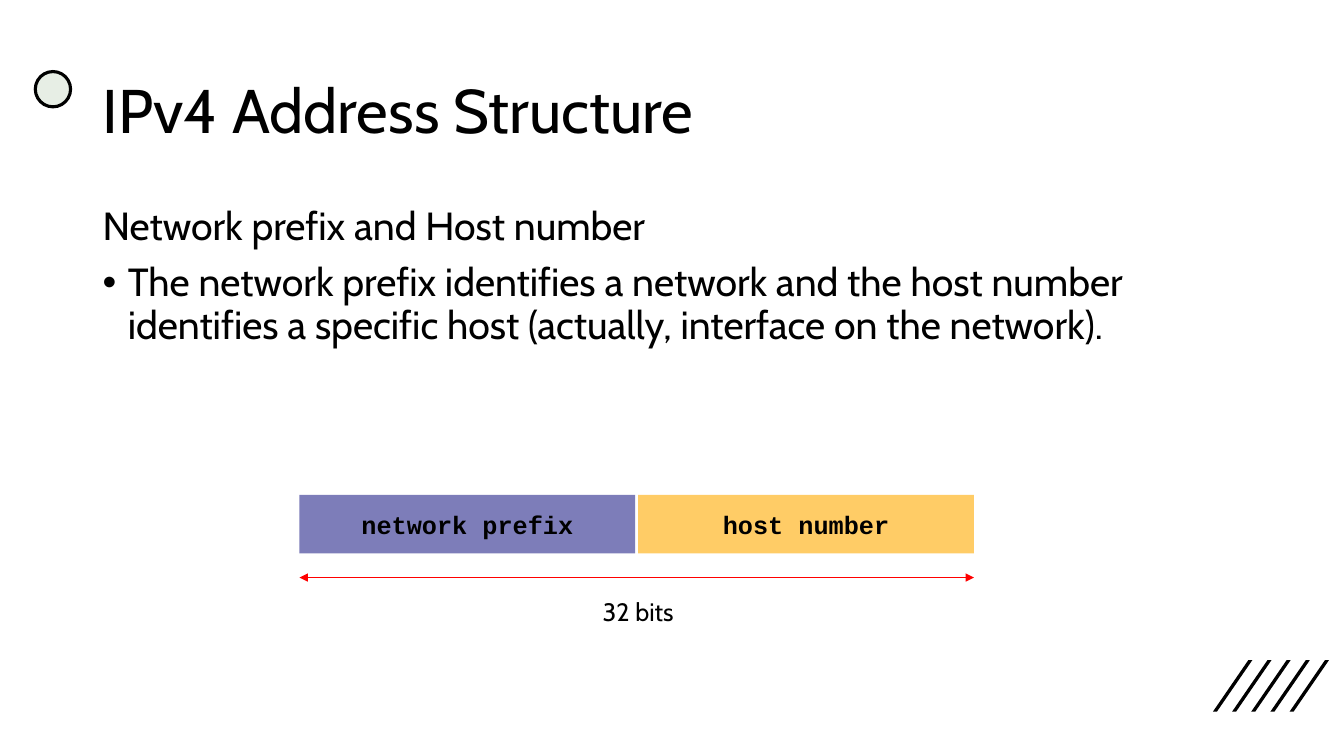
from lxml import etree
from pptx import Presentation
from pptx import util as u
from pptx.dml.color import RGBColor
from pptx.enum import shapes, text
from pptx.oxml import ns

PX = 9144
BLACK = "000000"
SANS = "Cabin"
MONO = "Courier New"


def px(*lengths):
    """Turn px lengths into EMU, at 100 px to the inch."""
    return [u.Emu(length * PX) for length in lengths]


def color(hex_value):
    """Return the colour for a hex string."""
    return RGBColor.from_string(hex_value)


def add_child(parent, tag, **attributes):
    """Append a drawing element with attributes to a parent element."""
    return etree.SubElement(parent, ns.qn(tag), attributes)


def paint(shape, fill, line=None, width=0):
    """Give a shape a flat fill and an optional outline."""
    shape.shadow.inherit = False
    shape.fill.solid()
    shape.fill.fore_color.rgb = color(fill)
    if line:
        shape.line.color.rgb = color(line)
        shape.line.width = u.Pt(width)
    else:
        shape.line.fill.background()


def write(paragraph, words, size, font=SANS, bold=False):
    """Add one black run to a paragraph."""
    run = paragraph.add_run()
    run.text = words
    run.font.size = u.Pt(size)
    run.font.name = font
    run.font.bold = bold
    run.font.color.rgb = color(BLACK)


def add_text_frame(slide, box, anchor=text.MSO_ANCHOR.TOP):
    """Add a wrapping text box and return its frame."""
    frame = slide.shapes.add_textbox(*px(*box)).text_frame
    frame.word_wrap = True
    frame.vertical_anchor = anchor
    return frame


def add_stripes(slide, box, count=5, step=19, thickness=4):
    """Draw evenly spaced slanted stripes across the box."""
    left, top, width, height = box
    slant = width - step * (count - 1) - thickness
    for index in range(count):
        x = left + index * step
        bottom = top + height
        builder = slide.shapes.build_freeform(x + thickness, bottom, scale=PX)
        builder.add_line_segments(
            [(x, bottom), (x + slant, top), (x + slant + thickness, top)]
        )
        paint(builder.convert_to_shape(), BLACK)


def add_dot(slide, box):
    """Draw the outlined circle beside the title."""
    dot = slide.shapes.add_shape(shapes.MSO_SHAPE.OVAL, *px(*box))
    paint(dot, "E7EEE5", BLACK, 2.25)


def add_title(slide, box, words):
    """Write the slide title, centred vertically in the box."""
    paragraph = add_text_frame(slide, box, text.MSO_ANCHOR.MIDDLE).paragraphs[0]
    paragraph.line_spacing = 0.9
    write(paragraph, words, 44)


def add_body(slide, box, heading, bullet):
    """Write a heading line followed by a bulleted paragraph."""
    frame = add_text_frame(slide, box)
    heading_paragraph = frame.paragraphs[0]
    bullet_paragraph = frame.add_paragraph()
    for paragraph, words in ((heading_paragraph, heading), (bullet_paragraph, bullet)):
        paragraph.line_spacing = 0.9
        paragraph.space_before = u.Pt(10)
        write(paragraph, words, 28)
    properties = bullet_paragraph._p.get_or_add_pPr()
    indent = px(25)[0]
    properties.set("marL", str(indent))
    properties.set("indent", str(-indent))
    add_child(properties, "a:buFont", typeface="Arial")
    add_child(properties, "a:buChar", char="•")


def add_field(slide, box, words, fill):
    """Draw one labelled field of the address."""
    field = slide.shapes.add_shape(shapes.MSO_SHAPE.RECTANGLE, *px(*box))
    paint(field, fill)
    field.text_frame.word_wrap = False
    field.text_frame.vertical_anchor = text.MSO_ANCHOR.MIDDLE
    paragraph = field.text_frame.paragraphs[0]
    paragraph.alignment = text.PP_ALIGN.CENTER
    write(paragraph, words, 18, MONO, True)


def add_span(slide, left, right, y):
    """Draw a thin line with an arrowhead at each end."""
    span = slide.shapes.add_connector(
        shapes.MSO_CONNECTOR.STRAIGHT, *px(left, y, right, y)
    )
    span.line.color.rgb = color("FF0000")
    span.line.width = u.Pt(0.5)
    outline = span.line._get_or_add_ln()
    add_child(outline, "a:headEnd", type="triangle")
    add_child(outline, "a:tailEnd", type="triangle")
    add_child(span._element.spPr, "a:effectLst")


def add_address(slide, box, fields, size_label):
    """Draw the address fields side by side with their total size below."""
    left, top, width, height = box
    gap = 3
    field_width = (width - gap) // len(fields)
    for index, (words, fill) in enumerate(fields):
        x = left + index * (field_width + gap)
        add_field(slide, (x, top, field_width, height), words, fill)
    label = add_text_frame(slide, (left + 291, top + 96, 90, 40))
    write(label.paragraphs[0], size_label, 18)
    add_span(slide, left, left + width, top + 82)


def main():
    """Build the slide and save it."""
    presentation = Presentation()
    presentation.slide_width, presentation.slide_height = px(1333, 750)
    slide = presentation.slides.add_slide(presentation.slide_layouts[6])
    add_stripes(slide, (1203, 655, 115, 51))
    add_dot(slide, (35, 71, 35, 35))
    add_body(
        slide,
        (92, 200, 1150, 476),
        "Network prefix and Host number",
        "The network prefix identifies a network and the host number identifies "
        "a specific host (actually, interface on the network).",
    )
    add_title(slide, (92, 40, 1150, 145), "IPv4 Address Structure")
    add_address(
        slide,
        (297, 491, 669, 58),
        [("network prefix", "7D7DB9"), ("host number", "FFCC66")],
        "32 bits",
    )
    presentation.save("out.pptx")


if __name__ == "__main__":
    main()
